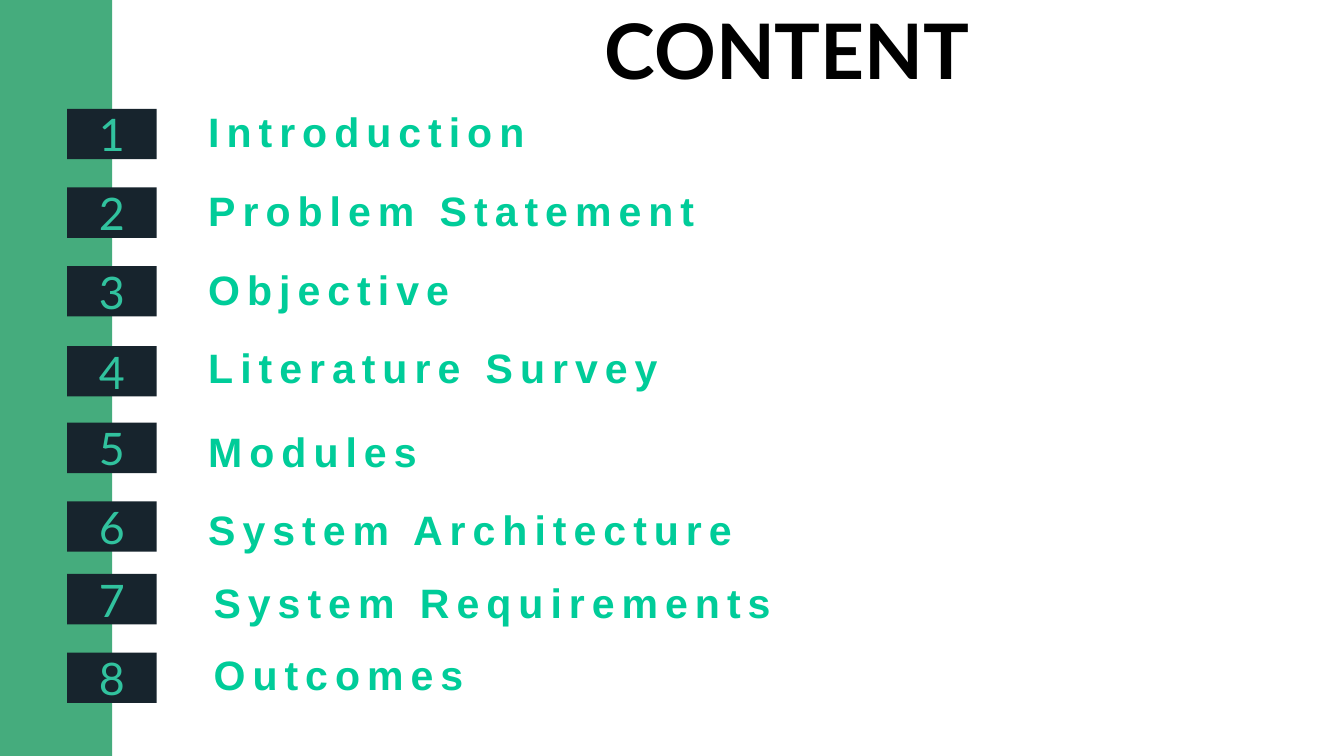
import pptx
import pptx.dml.color
import pptx.enum.shapes
import pptx.enum.text
import pptx.util
from pptx.util import Inches

COLORS = {
    "background": "FFFFFF",
    "sidebar": "45AC7D",
    "badge": "17242D",
    "number": "31C29E",
    "topic": "00CC99",
    "title": "000000",
}
TOPICS = [
    ("Introduction", 1.62, 3, 1.54, 6),
    ("Problem Statement", 2.79, 3, 2.71, 8.5),
    ("Objective", 3.96, 3, 3.88, 7.75),
    ("Literature Survey", 5.15, 3, 5.04, 9),
    ("Modules", 6.29, 3, 6.29, 7.75),
    ("System Architecture", 7.46, 3, 7.46, 9.17),
    ("System Requirements", 8.54, 3.08, 8.54, 9.17),
    ("Outcomes", 9.71, 3.08, 9.62, 7.75),
]


def rgb(name):
    """Return the named colour."""
    return pptx.dml.color.RGBColor.from_string(COLORS[name])


def write_text(shape, text, *, size, color, font="Lato", bold=False, spacing=0,
               align="LEFT", anchor="TOP", before=0, margins=None):
    """Write one formatted paragraph into a shape."""
    frame = shape.text_frame
    frame.word_wrap = True
    frame.auto_size = pptx.enum.text.MSO_AUTO_SIZE.NONE
    frame.vertical_anchor = getattr(pptx.enum.text.MSO_ANCHOR, anchor)
    if margins is not None:
        frame.margin_left, frame.margin_top, frame.margin_right, frame.margin_bottom = (
            Inches(margin) for margin in margins)
    paragraph = frame.paragraphs[0]
    paragraph.alignment = getattr(pptx.enum.text.PP_ALIGN, align)
    paragraph.space_before = pptx.util.Pt(before)
    run = paragraph.add_run()
    run.text = text
    run.font.name = font
    run.font.size = pptx.util.Pt(size)
    run.font.bold = bold
    run.font.color.rgb = rgb(color)
    if spacing:
        run.font._element.set("spc", str(round(spacing * 100)))


def add_block(slide, left, top, width, height, color):
    """Add a plain filled rectangle."""
    block = slide.shapes.add_shape(
        pptx.enum.shapes.MSO_SHAPE.RECTANGLE,
        Inches(left), Inches(top), Inches(width), Inches(height))
    block.shadow.inherit = False
    block.fill.solid()
    block.fill.fore_color.rgb = rgb(color)
    block.line.fill.background()
    return block


def add_title(slide, text):
    """Place and format the slide title."""
    title = slide.shapes.title
    title.left, title.top = Inches(9), Inches(0.03)
    title.width, title.height = Inches(6.17), Inches(1.39)
    write_text(title, text, size=82, color="title", bold=True, before=1,
               margins=(0, 0.01, 0, 0))


def add_badge(slide, number, top):
    """Add a numbered badge on the edge of the sidebar."""
    badge = add_block(slide, 1, top, 1.33, 0.75, "badge")
    write_text(badge, str(number), size=48, color="number", spacing=3.7,
               align="CENTER", anchor="MIDDLE", before=1.1, margins=(0, 0, 0, 0))


def add_topic(slide, text, left, top, width):
    """Add the name of one topic."""
    box = slide.shapes.add_textbox(Inches(left), Inches(top), Inches(width), Inches(0.84))
    write_text(box, text, size=44, color="topic", font="Arial", bold=True, spacing=7.5)


def main():
    """Build and save the contents slide."""
    presentation = pptx.Presentation()
    presentation.slide_width = Inches(20)
    presentation.slide_height = Inches(11.25)
    slide = presentation.slides.add_slide(presentation.slide_layouts[5])
    slide.background.fill.solid()
    slide.background.fill.fore_color.rgb = rgb("background")
    add_block(slide, 0, 0, 1.67, 11.25, "sidebar")
    add_title(slide, "CONTENT")
    for number, (text, badge_top, left, top, width) in enumerate(TOPICS, start=1):
        add_badge(slide, number, badge_top)
        add_topic(slide, text, left, top, width)
    presentation.save("out.pptx")


if __name__ == "__main__":
    main()
